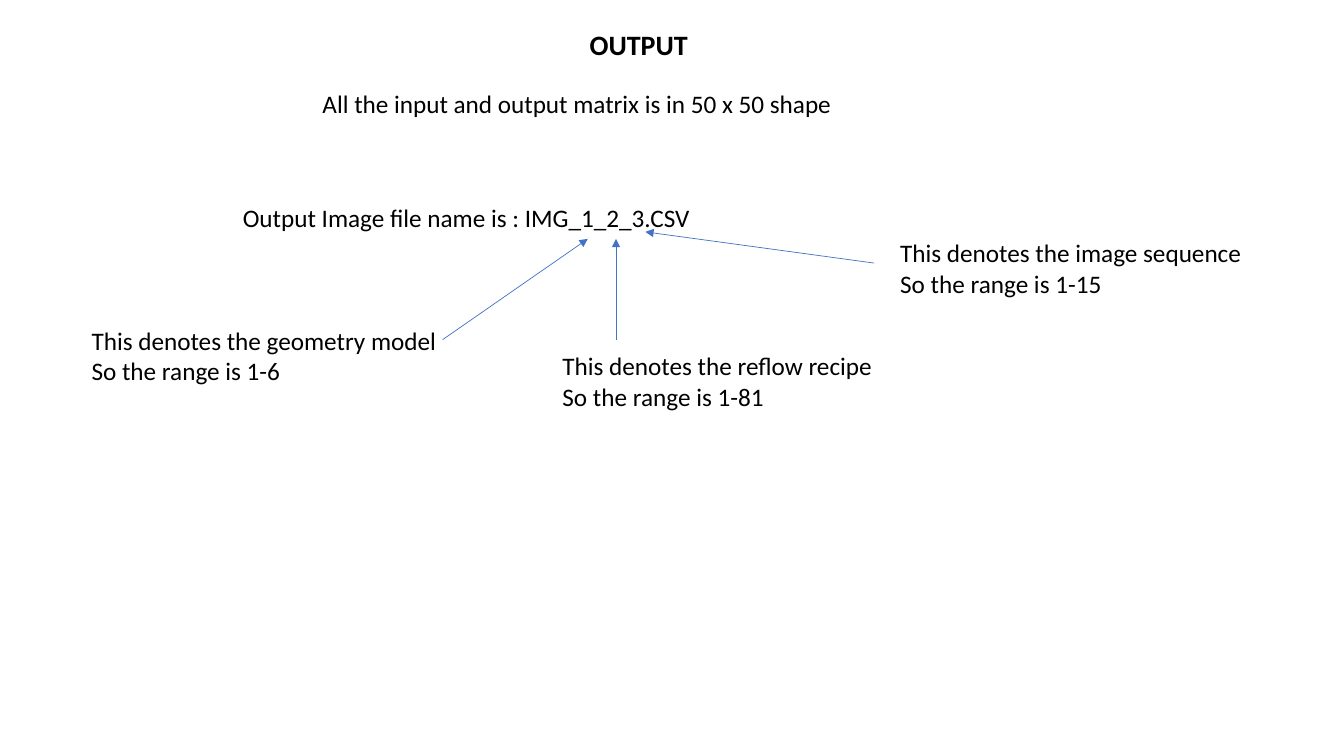
from dataclasses import dataclass

from lxml.etree import SubElement
from pptx import Presentation
from pptx.dml.color import RGBColor
from pptx.enum.shapes import MSO_CONNECTOR
from pptx.enum.text import MSO_AUTO_SIZE
from pptx.oxml.ns import qn
from pptx.util import Inches, Pt


@dataclass(frozen=True)
class Theme:
    """Colours, font and sizes of the slide."""
    font: str = "Calibri"
    ink: RGBColor = RGBColor(0x00, 0x00, 0x00)
    arrow: RGBColor = RGBColor(0x44, 0x72, 0xC4)
    title_size: int = 20
    body_size: int = 18
    arrow_width: float = 0.5


theme = Theme()
deck = Presentation()
deck.slide_width, deck.slide_height = Inches(13.33), Inches(7.5)
slide = deck.slides.add_slide(deck.slide_layouts[6])


def add_text(text, box, size=theme.body_size, bold=False, wrap=False):
    """Add a text box with one paragraph per line of text."""
    frame = slide.shapes.add_textbox(*map(Inches, box)).text_frame
    frame.text = text
    frame.word_wrap = wrap
    frame.auto_size = MSO_AUTO_SIZE.SHAPE_TO_FIT_TEXT
    for paragraph in frame.paragraphs:
        font = paragraph.runs[0].font
        font.name, font.size, font.bold = theme.font, Pt(size), bold
        font.color.rgb = theme.ink


def add_arrow(start, end):
    """Draw a thin arrow that points at end."""
    arrow = slide.shapes.add_connector(
        MSO_CONNECTOR.STRAIGHT, *map(Inches, start + end))
    arrow.line.color.rgb = theme.arrow
    arrow.line.width = Pt(theme.arrow_width)
    SubElement(arrow.line._get_or_add_ln(), qn("a:tailEnd"), type="triangle")
    SubElement(arrow._element.spPr, qn("a:effectLst"))


add_text("OUTPUT", (5.75, 0.22, 1.66, 0.44),
         size=theme.title_size, bold=True, wrap=True)
add_text("All the input and output matrix is in 50 x 50 shape",
         (3.1, 0.83, 5.31, 0.4))
add_text("Output Image file name is : IMG_1_2_3.CSV ",
         (2.31, 1.96, 4.75, 0.4))

# Each part of the file name: meaning, last value, note box, arrow ends
name_parts = [
    ("geometry model", 6, (0.81, 3.18, 3.66, 0.71), (4.39, 3.37), (5.83, 2.37)),
    ("reflow recipe", 81, (5.48, 3.43, 3.31, 0.71), (6.11, 3.37), (6.11, 2.37)),
    ("image sequence", 15, (8.83, 2.31, 3.63, 0.71), (8.67, 2.61), (6.4, 2.3)),
]
for meaning, last, note_box, start, end in name_parts:
    add_arrow(start, end)
    add_text(f"This denotes the {meaning}\nSo the range is 1-{last}", note_box)

deck.save("out.pptx")
